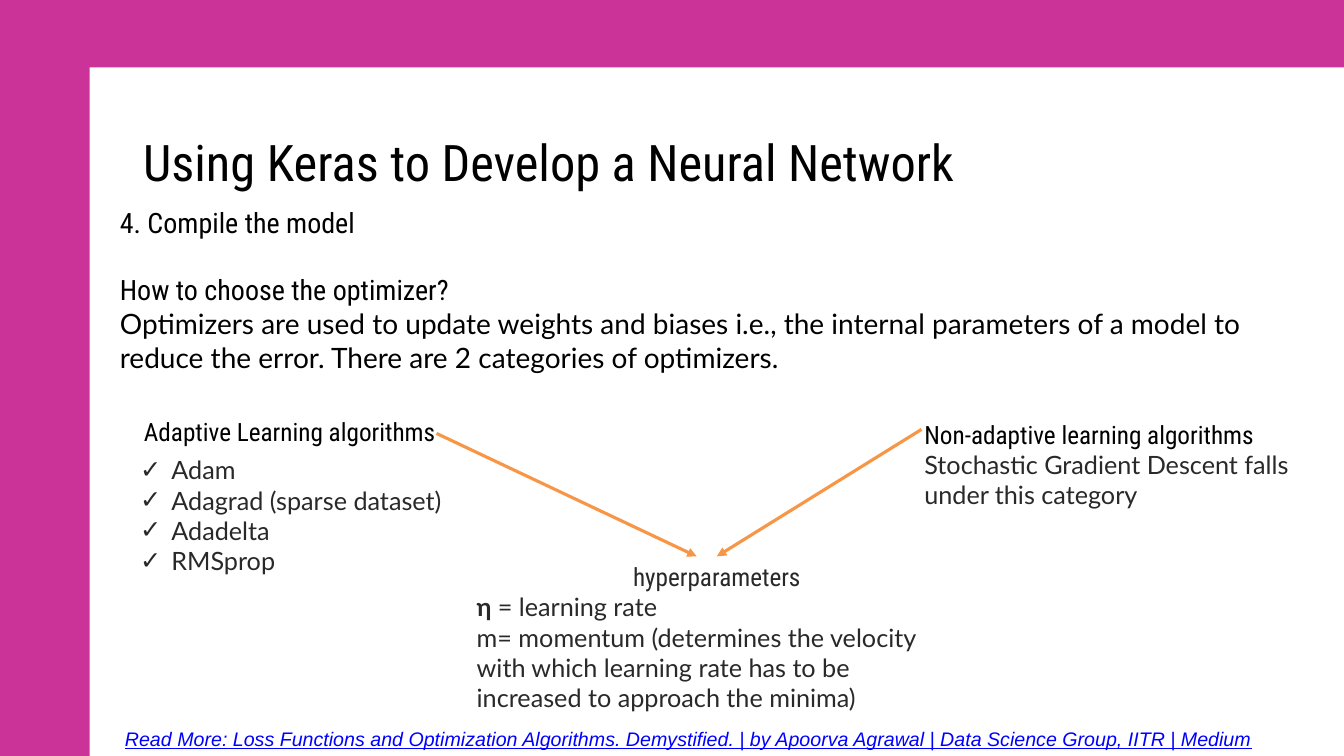
from lxml import etree
from pptx import Presentation
from pptx.dml.color import RGBColor
from pptx.enum.shapes import MSO_CONNECTOR, MSO_SHAPE
from pptx.enum.text import MSO_ANCHOR, MSO_AUTO_SIZE, PP_ALIGN
from pptx.oxml.ns import qn
from pptx.util import Pt

EMU_PER_PX = 9144
SLIDE_WIDTH, SLIDE_HEIGHT = 1333, 750
RECTANGLE = MSO_SHAPE.RECTANGLE
STRAIGHT = MSO_CONNECTOR.STRAIGHT
LEFT, CENTER = PP_ALIGN.LEFT, PP_ALIGN.CENTER
TOP, NO_AUTOFIT = MSO_ANCHOR.TOP, MSO_AUTO_SIZE.NONE

COLORS = {
    "band": "CC3399",
    "black": "000000",
    "gray": "292929",
    "link": "0000FF",
    "arrow": "F79646",
}
CONDENSED, LATO = "Roboto Condensed", "Lato"
TITLE = {"size": Pt(36), "name": CONDENSED, "color": "black"}
HEADING = {"size": Pt(20), "name": CONDENSED, "color": "black"}
INTRO = {**HEADING, "name": LATO}
LABEL = {**HEADING, "size": Pt(18)}
DETAIL = {"size": Pt(18), "name": LATO, "color": "gray"}
SYMBOL = {**DETAIL, "bold": True}
CENTER_LABEL = {**LABEL, "color": "gray"}
REFERENCE = {"size": Pt(14), "name": "Arial", "color": "link",
             "italic": True, "underline": True}


def px(value):
    return value * EMU_PER_PX


def rgb(name):
    return RGBColor.from_string(COLORS[name])


def place(shape, box):
    for side, value in zip(("left", "top", "width", "height"), box):
        setattr(shape, side, px(value))


def add_band(slide, box):
    band = slide.shapes.add_shape(RECTANGLE, *map(px, box))
    band.shadow.inherit = False
    band.fill.solid()
    band.fill.fore_color.rgb = rgb("band")
    band.line.fill.background()


def add_check(paragraph):
    properties = paragraph._p.get_or_add_pPr()
    properties.set("marL", str(px(31)))
    properties.set("indent", str(px(-31)))
    etree.SubElement(properties, qn("a:buFont"), typeface="Arial")
    etree.SubElement(properties, qn("a:buChar"), char="✓")


def add_run(paragraph, text, formats):
    run = paragraph.add_run()
    run.text = text
    for name, value in formats.items():
        if name == "color":
            run.font.color.rgb = rgb(value)
        else:
            setattr(run.font, name, value)


def fill_text(shape, paragraphs, checked=False):
    frame = shape.text_frame
    frame.word_wrap = True
    frame.auto_size = NO_AUTOFIT
    frame.vertical_anchor = TOP
    for index, (runs, layout) in enumerate(paragraphs):
        paragraph = frame.add_paragraph() if index else frame.paragraphs[0]
        if checked:
            add_check(paragraph)
        for name, value in {"alignment": LEFT, "space_before": Pt(0), **layout}.items():
            setattr(paragraph, name, value)
        for text, formats in runs:
            add_run(paragraph, text, formats)


def line(text, formats, **layout):
    return [(text, formats)], layout


def add_text(slide, box, paragraphs):
    fill_text(slide.shapes.add_textbox(*map(px, box)), paragraphs)


def add_arrow(slide, start, end):
    arrow = slide.shapes.add_connector(STRAIGHT, *map(px, start + end))
    arrow.line.color.rgb = rgb("arrow")
    arrow.line.width = Pt(2.25)
    etree.SubElement(arrow.line._get_or_add_ln(), qn("a:tailEnd"), type="triangle")
    etree.SubElement(arrow._element.spPr, qn("a:effectLst"))


def main():
    presentation = Presentation()
    presentation.slide_width = px(SLIDE_WIDTH)
    presentation.slide_height = px(SLIDE_HEIGHT)
    slide = presentation.slides.add_slide(presentation.slide_layouts[1])

    add_band(slide, (0, 0, 89, SLIDE_HEIGHT))
    add_band(slide, (0, 0, SLIDE_WIDTH, 67))

    title, algorithms = slide.placeholders
    place(title, (132, 125, 1044, 71))
    fill_text(title, [line("Using Keras to Develop a Neural Network", TITLE)])

    add_text(slide, (109, 199, 1188, 178), [
        line("4. Compile the model", HEADING),
        line("How to choose the optimizer?", HEADING, space_before=Pt(24)),
        line("Optimizers are used to update weights and biases i.e., the internal "
             "parameters of a model to reduce the error. There are 2 categories "
             "of optimizers.", INTRO),
    ])
    add_text(slide, (907, 411, 387, 101), [
        line("Non-adaptive learning algorithms", LABEL),
        line("Stochastic Gradient Descent falls", DETAIL),
        line("under this category", DETAIL),
    ])
    add_text(slide, (133, 408, 316, 40), [line("Adaptive Learning algorithms", LABEL)])

    place(algorithms, (129, 446, 357, 131))
    names = ("Adam", "Adagrad (sparse dataset)", "Adadelta", "RMSprop")
    fill_text(algorithms, [line(name, DETAIL) for name in names], checked=True)

    add_text(slide, (463, 552, 496, 162), [
        line("hyperparameters", CENTER_LABEL, alignment=CENTER),
        ([("η ", SYMBOL), ("= learning rate", DETAIL)], {}),
        line("m= momentum (determines the velocity with which learning rate has "
             "to be increased to approach the minima)", DETAIL),
    ])
    add_text(slide, (114, 716, 1209, 34), [
        line("Read More: Loss Functions and Optimization Algorithms. Demystified. "
             "| by Apoorva Agrawal | Data Science Group, IITR | Medium", REFERENCE),
    ])

    add_arrow(slide, (433, 430), (691, 552))
    add_arrow(slide, (914, 426), (711, 552))
    presentation.save("out.pptx")


if __name__ == "__main__":
    main()
